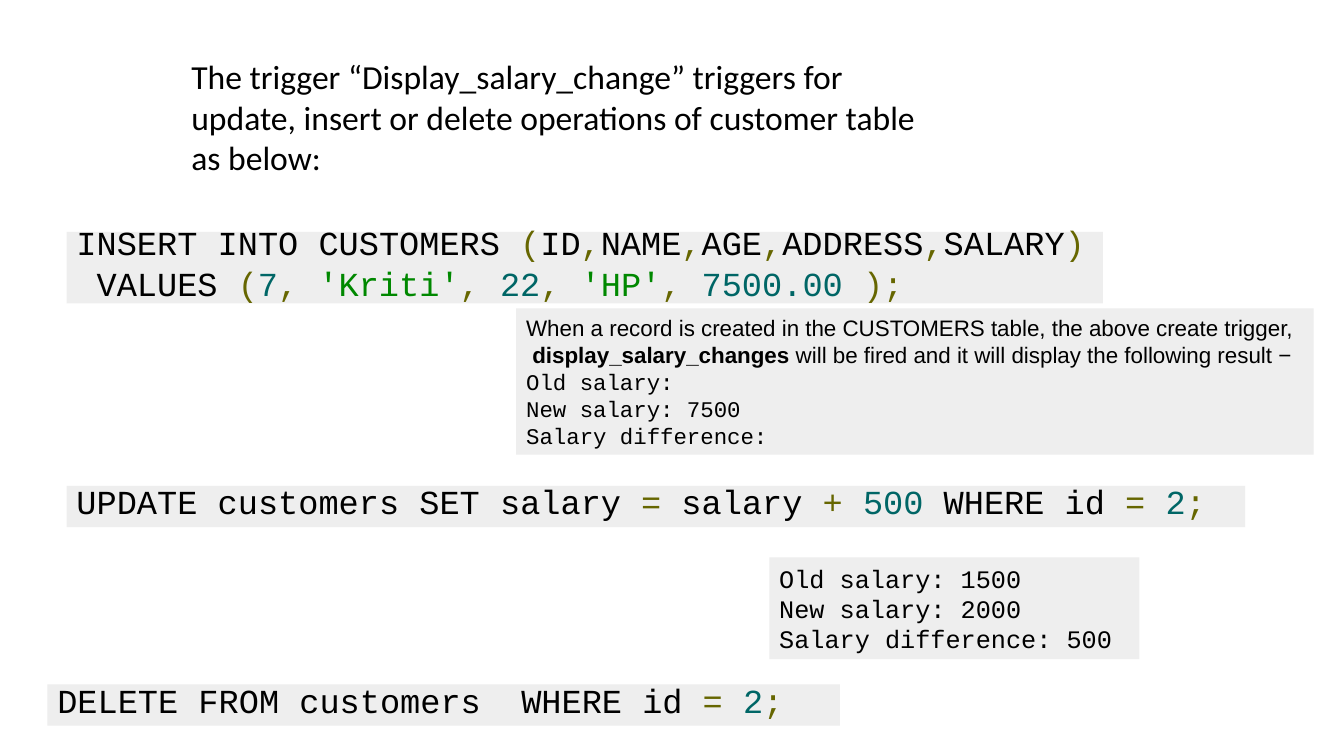
import pptx
import pptx.dml.color
import pptx.enum.shapes
import pptx.enum.text
import pptx.util

Inches = pptx.util.Inches
Pt = pptx.util.Pt
RGBColor = pptx.dml.color.RGBColor
Anchor = pptx.enum.text.MSO_ANCHOR
AutoSize = pptx.enum.text.MSO_AUTO_SIZE

# Content: each line is a list of (text, style) runs
INTRO = [[("The trigger “Display_salary_change” triggers for update, insert or "
           "delete operations of customer table as below:", "plain")]]

INSERT_SQL = [
    [("INSERT INTO CUSTOMERS ", "plain"), ("(", "mark"), ("ID", "plain"), (",", "mark"),
     ("NAME", "plain"), (",", "mark"), ("AGE", "plain"), (",", "mark"),
     ("ADDRESS", "plain"), (",", "mark"), ("SALARY", "plain"), (")", "mark")],
    [(" VALUES ", "plain"), ("(", "mark"), ("7", "number"), (", ", "mark"),
     ("'Kriti'", "string"), (", ", "mark"), ("22", "number"), (", ", "mark"),
     ("'HP'", "string"), (", ", "mark"), ("7500.00 ", "number"), (");", "mark")],
]
INSERT_RESULT = [
    [("When a record is created in the CUSTOMERS table, the above create trigger,", "prose")],
    [(" ", "prose"), ("display_salary_changes", "strong"),
     (" will be fired and it will display the following result −", "prose")],
    [("Old salary:", "plain")],
    [("New salary: 7500", "plain")],
    [("Salary difference:", "plain")],
]
UPDATE_SQL = [
    [("UPDATE customers SET salary ", "plain"), ("=", "mark"), (" salary ", "plain"),
     ("+ ", "mark"), ("500", "number"), (" WHERE id ", "plain"), ("= ", "mark"),
     ("2", "number"), (";", "mark")],
]
UPDATE_RESULT = [
    [("Old salary: 1500", "plain")],
    [("New salary: 2000", "plain")],
    [("Salary difference: 500", "plain")],
]
DELETE_SQL = [
    [("DELETE FROM customers  WHERE id ", "plain"), ("= ", "mark"),
     ("2", "number"), (";", "mark")],
]

THEME = {
    "panel": "EEEEEE",
    "colors": {"plain": "000000", "prose": "000000", "strong": "000000",
               "mark": "666600", "number": "006666", "string": "008800"},
    "fonts": {"intro": "Calibri", "code": "Courier New", "prose": "Arial"},
    "sizes": {"intro": 24, "sql": 24, "insert_result": 16, "update_result": 18},
}

# Panels: lines, (left, top, width, height), size key, top inset
PANELS = [
    (INSERT_SQL, (0.66, 2.3, 10.28, 0.71), "sql", -0.05),
    (INSERT_RESULT, (5.12, 3.06, 7.91, 1.45), "insert_result", 0.05),
    (UPDATE_SQL, (0.66, 4.82, 11.69, 0.41), "sql", -0.05),
    (UPDATE_RESULT, (7.63, 5.53, 3.67, 1.01), "update_result", 0.05),
    (DELETE_SQL, (0.47, 6.79, 7.86, 0.41), "sql", -0.05),
]
INTRO_BOX = (1.8, 0.51, 7.63, 1.31)


def set_all(target, values):
    for name, value in values.items():
        setattr(target, name, value)


def write_lines(frame, lines, size, base_font):
    for index, line in enumerate(lines):
        paragraph = frame.paragraphs[0] if index == 0 else frame.add_paragraph()
        paragraph.alignment = pptx.enum.text.PP_ALIGN.LEFT
        for text, style in line:
            run = paragraph.add_run()
            run.text = text
            is_prose = style in ("prose", "strong")
            set_all(run.font, {
                "size": Pt(THEME["sizes"][size]),
                "name": THEME["fonts"]["prose" if is_prose else base_font],
                "bold": style == "strong",
            })
            run.font.color.rgb = RGBColor.from_string(THEME["colors"][style])


def add_panel(slide, lines, box, size, inset):
    panel = slide.shapes.add_shape(pptx.enum.shapes.MSO_SHAPE.RECTANGLE, *map(Inches, box))
    panel.shadow.inherit = False
    panel.fill.solid()
    panel.fill.fore_color.rgb = RGBColor.from_string(THEME["panel"])
    panel.line.fill.background()
    set_all(panel.text_frame, {
        "word_wrap": False, "auto_size": AutoSize.SHAPE_TO_FIT_TEXT,
        "vertical_anchor": Anchor.MIDDLE,
        "margin_top": Inches(inset), "margin_bottom": Inches(0.05),
    })
    write_lines(panel.text_frame, lines, size, "code")


def main():
    deck = pptx.Presentation()
    set_all(deck, {"slide_width": Inches(13.33), "slide_height": Inches(7.5)})
    slide = deck.slides.add_slide(deck.slide_layouts[6])

    # SQL statements and their results
    for panel in PANELS:
        add_panel(slide, *panel)

    # Introduction
    intro = slide.shapes.add_textbox(*map(Inches, INTRO_BOX))
    set_all(intro.text_frame, {"word_wrap": True, "auto_size": AutoSize.SHAPE_TO_FIT_TEXT})
    write_lines(intro.text_frame, INTRO, "intro", "intro")

    deck.save("out.pptx")


if __name__ == "__main__":
    main()
